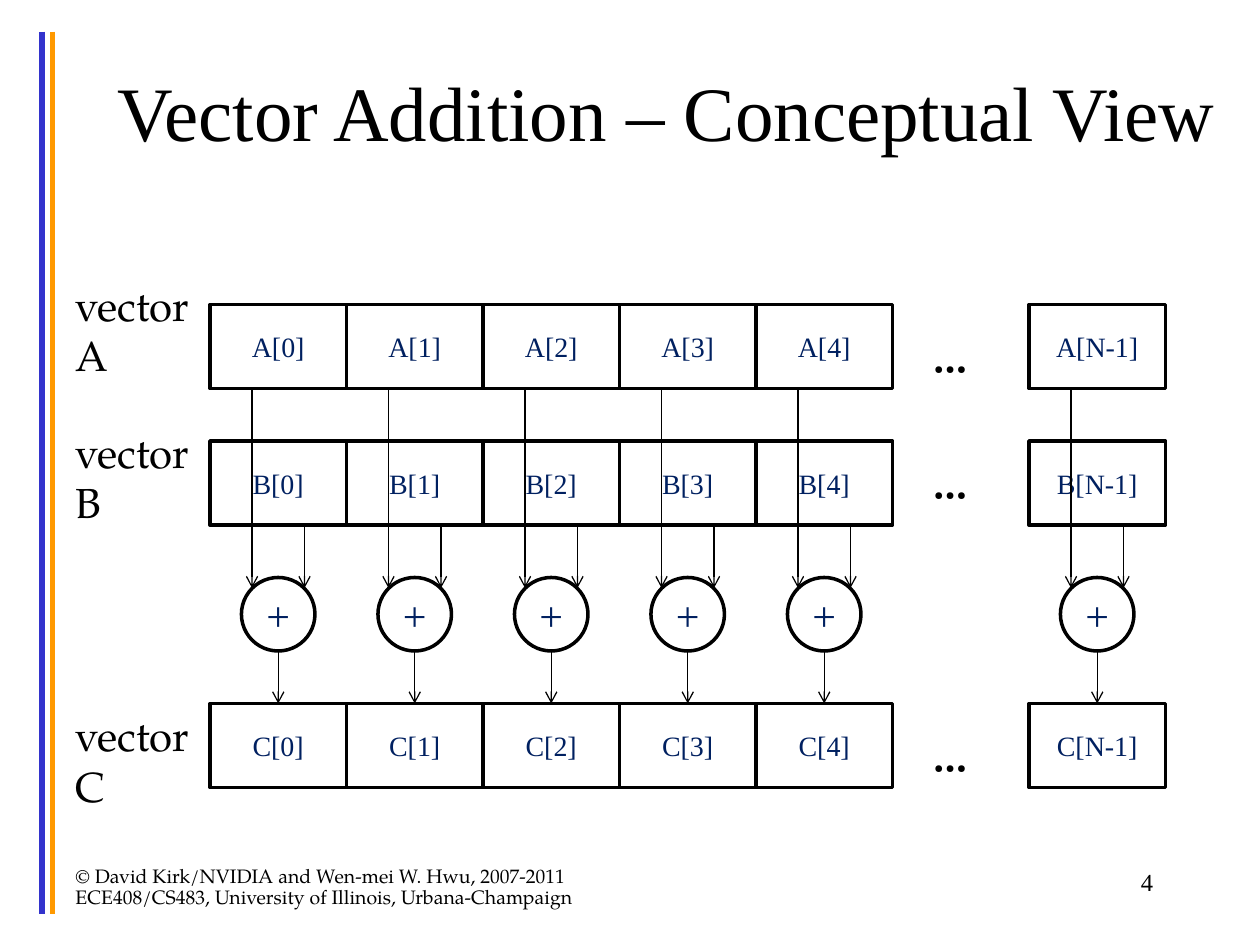
from lxml.etree import SubElement
from pptx import Presentation
from pptx.dml.color import RGBColor
from pptx.enum.shapes import MSO_CONNECTOR, MSO_SHAPE
from pptx.enum.text import MSO_ANCHOR, PP_ALIGN
from pptx.oxml.ns import qn
from pptx.util import Emu, Pt

PX = 9525
HUES = {"ink": "000000", "paper": "FFFFFF", "navy": "002060",
        "blue": "3333CC", "gold": "FF9900"}
ROMAN = "Times New Roman"
SERIF = "TeX Gyre Pagella"


class Sketch:
    def __init__(self, slide):
        self.slide = slide
        self.shapes = slide.shapes

    def hue(self, name):
        return RGBColor.from_string(HUES[name])

    def box(self, *spans):
        return [Emu(span * PX) for span in spans]

    def label(self, frame, words, size, font, hue="ink", bold=False,
              align=PP_ALIGN.LEFT, anchor=MSO_ANCHOR.TOP, wrap=True, lead=None):
        frame.word_wrap = wrap
        frame.vertical_anchor = anchor
        para = frame.paragraphs[0]
        para.alignment = align
        para.line_spacing = lead
        run = para.add_run()
        run.text = words
        run.font.size = Pt(size)
        run.font.name = font
        run.font.bold = bold
        run.font.color.rgb = self.hue(hue)

    def text(self, spans, words, size, font, **style):
        area = self.shapes.add_textbox(*self.box(*spans))
        self.label(area.text_frame, words, size, font, **style)

    def node(self, kind, spans, words, size):
        shape = self.shapes.add_shape(kind, *self.box(*spans))
        shape.shadow.inherit = False
        shape.fill.solid()
        shape.fill.fore_color.rgb = self.hue("paper")
        shape.line.color.rgb = self.hue("ink")
        shape.line.width = Pt(2)
        self.label(shape.text_frame, words, size, ROMAN, hue="navy",
                   align=PP_ALIGN.CENTER, anchor=MSO_ANCHOR.MIDDLE)

    def line(self, x, top, end, hue="ink", width=0.75, arrow=False):
        link = self.shapes.add_connector(
            MSO_CONNECTOR.STRAIGHT, *self.box(x, top, x, end))
        link.line.color.rgb = self.hue(hue)
        link.line.width = Pt(width)
        props = link.element.spPr
        if arrow:
            SubElement(props.find(qn("a:ln")), qn("a:tailEnd"), type="arrow")
        SubElement(props, qn("a:effectLst"))


def main():
    deck = Presentation()
    deck.slide_width = Emu(960 * PX)
    deck.slide_height = Emu(720 * PX)
    art = Sketch(deck.slides.add_slide(deck.slide_layouts[6]))

    for x, hue in ((32, "blue"), (40, "gold")):
        art.line(x, 24, 696, hue, 3)

    wide, high, disc = 104, 64, 56
    slots = {mark: 160 + wide * step
             for mark, step in (("0", 0), ("1", 1), ("2", 2),
                                ("3", 3), ("4", 4), ("N-1", 6))}
    rows = (("A", 232, 208, 248), ("B", 336, 320, 344), ("C", 536, 536, 552))

    for name, top, head, dots in rows:
        art.text((48, head, 128, 86), f"vector {name}", 24, SERIF)
        for mark, left in slots.items():
            art.node(MSO_SHAPE.RECTANGLE, (left, top, wide, high),
                     f"{name}[{mark}]", 16)
        art.text((701, dots, 51, 48), "…", 24, SERIF, bold=True, wrap=False)

    for left in slots.values():
        art.node(MSO_SHAPE.OVAL, (left + 24, 440, disc, disc), "+", 24)
        for shift, top, end in ((32, 296, 448), (72, 400, 448), (52, 496, 536)):
            art.line(left + shift, top, end, arrow=True)

    art.text((72, 24, 872, 120), "Vector Addition – Conceptual View", 44, ROMAN,
             align=PP_ALIGN.CENTER, anchor=MSO_ANCHOR.MIDDLE)
    art.text((688, 656, 200, 48), "4", 14, ROMAN, align=PP_ALIGN.RIGHT)
    art.text((48, 656, 440, 48),
             "© David Kirk/NVIDIA and Wen-mei W. Hwu, 2007-2011 "
             "ECE408/CS483, University of Illinois, Urbana-Champaign",
             11.1, SERIF, lead=0.9)

    deck.save("out.pptx")


if __name__ == "__main__":
    main()
